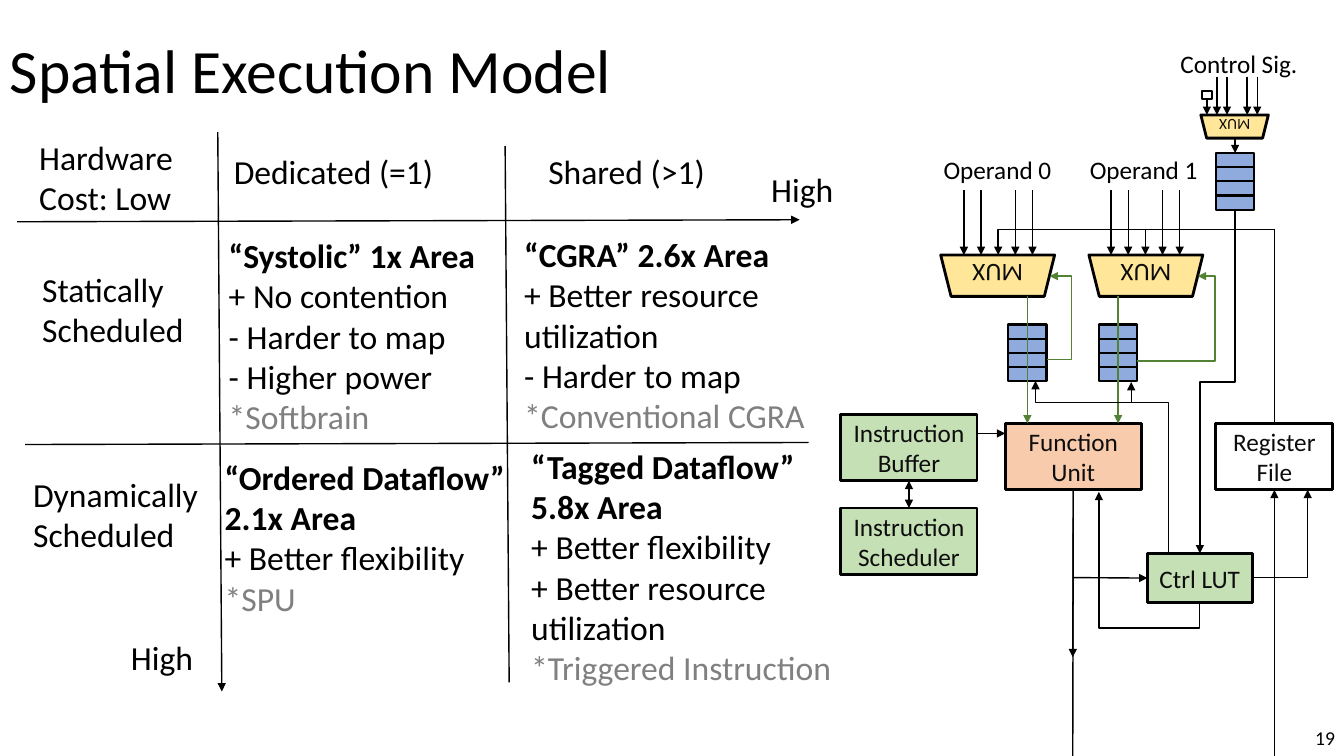
from dataclasses import dataclass

from lxml import etree
from pptx import Presentation
from pptx.dml.color import RGBColor
from pptx.enum.shapes import MSO_CONNECTOR as CONN, MSO_SHAPE as SHAPE
from pptx.enum.text import MSO_ANCHOR as ANCHOR, MSO_AUTO_SIZE as AUTO, PP_ALIGN as ALIGN
from pptx.oxml.ns import qn
from pptx.shapes.autoshape import Shape
from pptx.shapes.connector import Connector
from pptx.util import Inches, Pt

BLACK = RGBColor(0x00, 0x00, 0x00)
INK = RGBColor(0x0D, 0x0D, 0x0D)
GRAY = RGBColor(0x80, 0x80, 0x80)
WHITE = RGBColor(0xFF, 0xFF, 0xFF)
ORANGE = RGBColor(0xF8, 0xCB, 0xAD)
GREEN = RGBColor(0xC5, 0xE0, 0xB4)
BLUE = RGBColor(0x8F, 0xAA, 0xDC)
YELLOW = RGBColor(0xFF, 0xE6, 0x99)
DARK_GREEN = RGBColor(0x54, 0x82, 0x35)

FONT = "Calibri"
SLIDE_W, SLIDE_H = 13.33, 7.5
FIFO_CELLS, FIFO_W, CELL_H = 4, 0.38, 0.14

Point = tuple[float, float]


@dataclass
class Label:
    left: float
    top: float
    width: float
    height: float
    text: str
    size: int = 24
    wrap: bool = False


@dataclass
class Quadrant:
    """One cell of the comparison: bold heading, points, grey example."""
    left: float
    top: float
    width: float
    height: float
    heading: str
    points: list[str]
    example: str
    wrap: bool = True


@dataclass
class Mux:
    left: float
    top: float
    width: float
    height: float
    size: int
    input_top: float
    inputs: list[float]


@dataclass
class Elbow:
    """Route through a middle segment at `via`; `down` means it starts vertically."""
    start: Point
    end: Point
    via: float
    vertical: bool = True
    color: RGBColor = BLACK


LABELS = [
    Label(2.22, 1.45, 2.21, 0.5, "Dedicated (=1)"),
    Label(5.34, 1.45, 1.77, 0.5, "Shared (>1)"),
    Label(0.32, 2.62, 1.66, 0.91, "Statically Scheduled", wrap=True),
    Label(0.23, 4.65, 1.88, 0.91, "Dynamically Scheduled", wrap=True),
    Label(0.29, 1.31, 1.91, 0.91, "Hardware Cost: Low", wrap=True),
    Label(1.2, 6.27, 0.82, 0.5, "High"),
    Label(7.55, 1.63, 0.82, 0.5, "High"),
    Label(9.26, 1.48, 1.28, 0.4, "Operand 0", 18),
    Label(10.71, 1.48, 1.28, 0.4, "Operand 1", 18),
    Label(11.61, 0.43, 1.37, 0.4, "Control Sig.", 18),
]
QUADRANTS = [
    Quadrant(2.17, 2.28, 2.69, 2.12, "“Systolic” 1x Area",
             ["+ No contention", "- Harder to map", "- Higher power"], "*Softbrain", False),
    Quadrant(5.1, 2.27, 3.01, 2.12, "“CGRA” 2.6x Area",
             ["+ Better resource utilization", "- Harder to map"], "*Conventional CGRA"),
    Quadrant(2.13, 4.48, 3.19, 1.72, "“Ordered Dataflow” 2.1x Area",
             ["+ Better flexibility"], "*SPU"),
    Quadrant(5.17, 4.37, 3.22, 2.52, "“Tagged Dataflow” 5.8x Area",
             ["+ Better flexibility", "+ Better resource utilization"], "*Triggered Instruction"),
]
MUXES = [
    Mux(9.33, 2.53, 1.13, 0.41, 18, 1.89, [9.56, 9.73, 10.07, 10.24]),
    Mux(10.8, 2.53, 1.13, 0.41, 18, 1.89, [11.02, 11.19, 11.53, 11.7]),
    Mux(11.91, 1.14, 0.67, 0.23, 11, 0.76, [12.07, 12.17, 12.37, 12.47]),
]
ELBOWS = [
    Elbow((12.64, 4.2), (9.9, 2.53), 2.28),
    Elbow((12.64, 4.2), (11.36, 2.53), 2.28),
    Elbow((10.38, 3.57), (10.41, 2.74), 10.63, False, DARK_GREEN),
    Elbow((11.28, 3.58), (11.88, 2.74), 12.05, False, DARK_GREEN),
    Elbow((12.25, 2.08), (11.9, 5.49), 3.79),
    Elbow((11.9, 5.98), (10.9, 4.88), 6.23),
    Elbow((11.59, 5.49), (10.27, 3.78), 3.99),
]

prs = Presentation()
prs.slide_width, prs.slide_height = Inches(SLIDE_W), Inches(SLIDE_H)
shapes = prs.slides.add_slide(prs.slide_layouts[6]).shapes


def add_run(p, text: str, size: int, color: RGBColor = BLACK, bold: bool = False) -> None:
    r = p.add_run()
    r.text = text
    r.font.name, r.font.size, r.font.bold = FONT, Pt(size), bold
    r.font.color.rgb = color


def text_frame(left: float, top: float, width: float, height: float, wrap: bool):
    tf = shapes.add_textbox(Inches(left), Inches(top), Inches(width), Inches(height)).text_frame
    tf.word_wrap = wrap
    tf.auto_size = AUTO.SHAPE_TO_FIT_TEXT
    return tf


def label(item: Label):
    tf = text_frame(item.left, item.top, item.width, item.height, item.wrap)
    add_run(tf.paragraphs[0], item.text, item.size)
    return tf


def quadrant(q: Quadrant) -> None:
    tf = text_frame(q.left, q.top, q.width, q.height, q.wrap)
    add_run(tf.paragraphs[0], q.heading, 24, bold=True)
    for point in q.points:
        add_run(tf.add_paragraph(), point, 24)
    add_run(tf.add_paragraph(), q.example, 24, GRAY)


def box(left: float, top: float, width: float, height: float, fill: RGBColor,
        lines: tuple[str, ...] = (), size: int = 18, weight: float = 2,
        kind: SHAPE = SHAPE.RECTANGLE) -> Shape:
    sp = shapes.add_shape(kind, Inches(left), Inches(top), Inches(width), Inches(height))
    sp.shadow.inherit = False
    sp.fill.solid()
    sp.fill.fore_color.rgb = fill
    sp.line.color.rgb, sp.line.width = BLACK, Pt(weight)
    tf = sp.text_frame
    tf.vertical_anchor = ANCHOR.MIDDLE
    for i, text in enumerate(lines):
        p = tf.add_paragraph() if i else tf.paragraphs[0]
        p.alignment = ALIGN.CENTER
        add_run(p, text, size, INK)
    return sp


def connect(start: Point, end: Point, color: RGBColor = BLACK, ends: tuple[str, ...] = ("tailEnd",),
            kind: CONN = CONN.STRAIGHT) -> Connector:
    c = shapes.add_connector(kind, *(Inches(v) for v in (*start, *end)))
    c.line.color.rgb, c.line.width = color, Pt(1)
    ln = c.line._get_or_add_ln()
    for tag in ends:
        etree.SubElement(ln, qn(f"a:{tag}"), type="triangle")
    etree.SubElement(c._element.spPr, qn("a:effectLst"))
    return c


def elbow(e: Elbow) -> None:
    (x1, y1), (x2, y2) = e.start, e.end
    if e.vertical:
        # A quarter turn about the centre makes the first segment vertical.
        turn = 1 if e.via > y1 else -1
        cx, cy = (x1 + x2) / 2, (y1 + y2) / 2
        dx, dy = turn * (x2 - x1) / 2, turn * (y2 - y1) / 2
        c = connect((cx - dy, cy + dx), (cx + dy, cy - dx), e.color, kind=CONN.ELBOW)
        c._element.spPr.find(qn("a:xfrm")).set("rot", str(5400000 if turn > 0 else 16200000))
        ratio = (e.via - y1) / (y2 - y1)
    else:
        c = connect(e.start, e.end, e.color, kind=CONN.ELBOW)
        ratio = (e.via - x1) / (x2 - x1)
    guides = c._element.spPr.find(qn("a:prstGeom")).get_or_add_avLst()
    etree.SubElement(guides, qn("a:gd"), name="adj1", fmla=f"val {round(ratio * 100000)}")


def fifo(left: float, top: float) -> Shape:
    """Stack the queue cells and return the top one."""
    cells = [box(left, top + i * CELL_H, FIFO_W, CELL_H, BLUE, weight=1.5) for i in range(FIFO_CELLS)]
    return cells[0]


def mux(m: Mux) -> None:
    sp = box(m.left, m.top, m.width, m.height, YELLOW, ("MUX",), m.size, kind=SHAPE.TRAPEZOID)
    sp.rotation = 180
    for x in m.inputs:
        connect((x, m.input_top), (x, m.top))


title = label(Label(0, 0, 6.67, 1.45, "Spatial Execution Model", 44, True))
title.auto_size = AUTO.NONE
title.vertical_anchor = ANCHOR.MIDDLE
title.paragraphs[0].line_spacing = 0.9
label(Label(12.64, 7.15, 0.7, 0.34, "19", 14, True)).paragraphs[0].alignment = ALIGN.RIGHT
for item in LABELS:
    label(item)
for q in QUADRANTS:
    quadrant(q)

connect((0.25, 4.41), (8.02, 4.39), ends=())
connect((5.01, 1.45), (5.05, 6.77), ends=())
connect((0.17, 2.2), (7.93, 2.18))
connect((2.16, 1.31), (2.2, 6.86))

function_unit = box(9.97, 4.2, 1.35, 0.66, ORANGE, ("Function", "Unit"))
buffer = box(8.34, 4.11, 1.35, 0.66, GREEN, ("Instruction Buffer",))
scheduler = box(8.34, 5.04, 1.35, 0.66, GREEN, ("Instruction Scheduler",))
register_file = box(12.06, 4.2, 1.16, 0.66, WHITE, ("Register", "File"))
ctrl_lut = box(11.38, 5.49, 1.04, 0.49, GREEN, ("Ctrl LUT",))
fifo(10, 3.22)
fifo(10.9, 3.22)
control_fifo = fifo(12.06, 1.52)
for m in MUXES:
    mux(m)
control_reg = box(11.92, 0.9, 0.1, 0.08, WHITE, weight=1.5)

for x in (10.19, 11.09):
    connect((x, 2.94), (x, 4.2), DARK_GREEN)
connect((9.69, 4.3), (9.97, 4.3))
connect((11.22, 4), (11.22, 3.79))
connect((10.64, 4.86), (10.64, 6.52)).begin_connect(function_unit, 2)
connect((10.64, 4.86), (10.64, SLIDE_H), ends=()).begin_connect(function_unit, 2)
connect((12.64, SLIDE_H), (12.64, 4.86)).end_connect(register_file, 2)
connect((10.64, 5.73), (11.38, 5.73)).end_connect(ctrl_lut, 1)
connect((12.25, 1.37), (12.25, 1.52)).end_connect(control_fifo, 0)
connect((11.97, 0.98), (11.97, 1.14)).begin_connect(control_reg, 2)
exchange = connect((9.01, 4.77), (9.01, 5.04), ends=("headEnd", "tailEnd"))
exchange.begin_connect(buffer, 2)
exchange.end_connect(scheduler, 0)

for e in ELBOWS:
    elbow(e)
corner = connect((12.42, 5.73), (12.97, 4.86), kind=CONN.ELBOW)
corner._element.spPr.find(qn("a:prstGeom")).set("prst", "bentConnector2")

prs.save("out.pptx")
